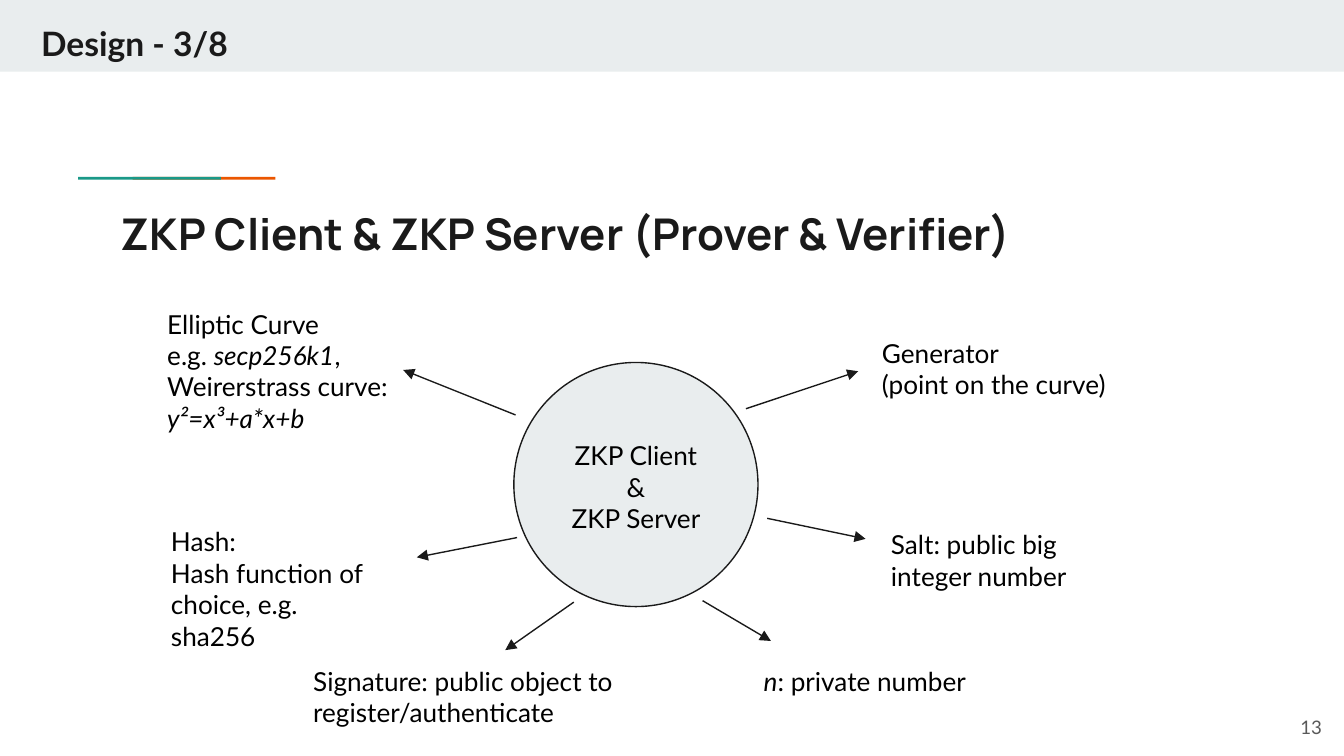
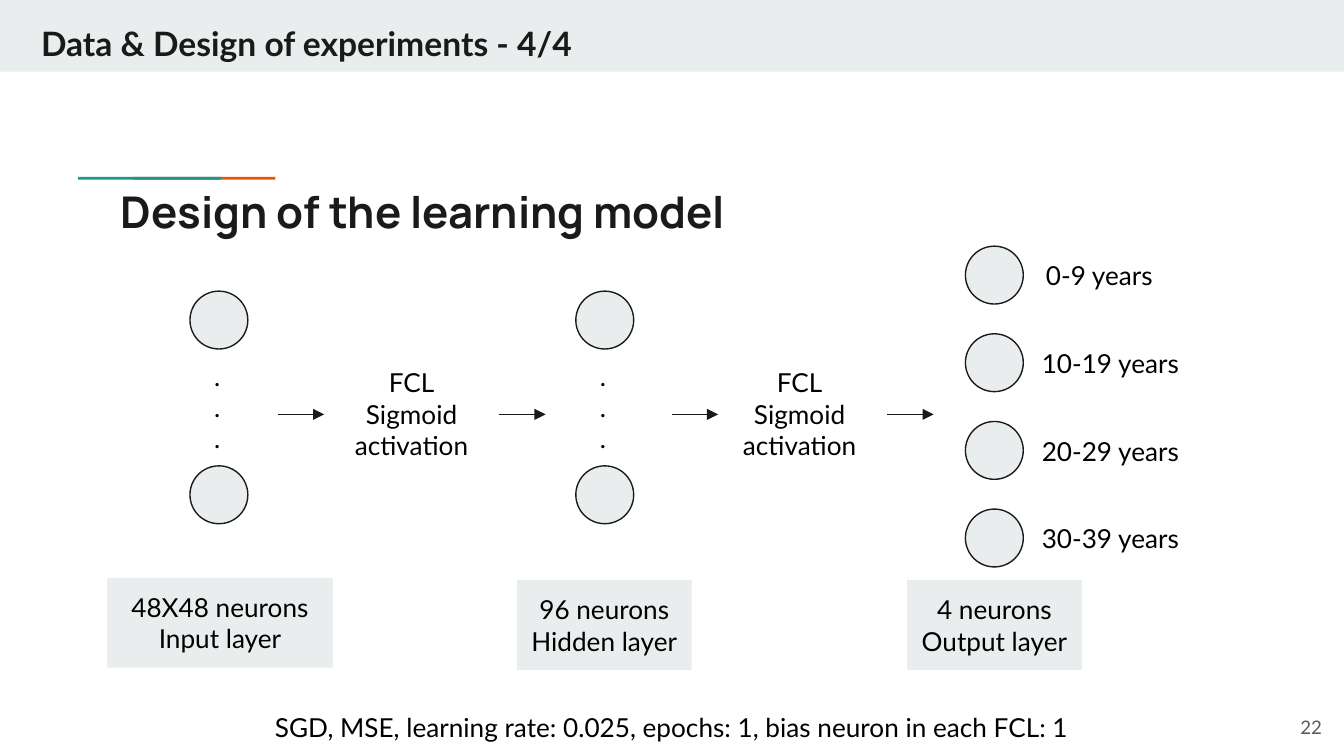
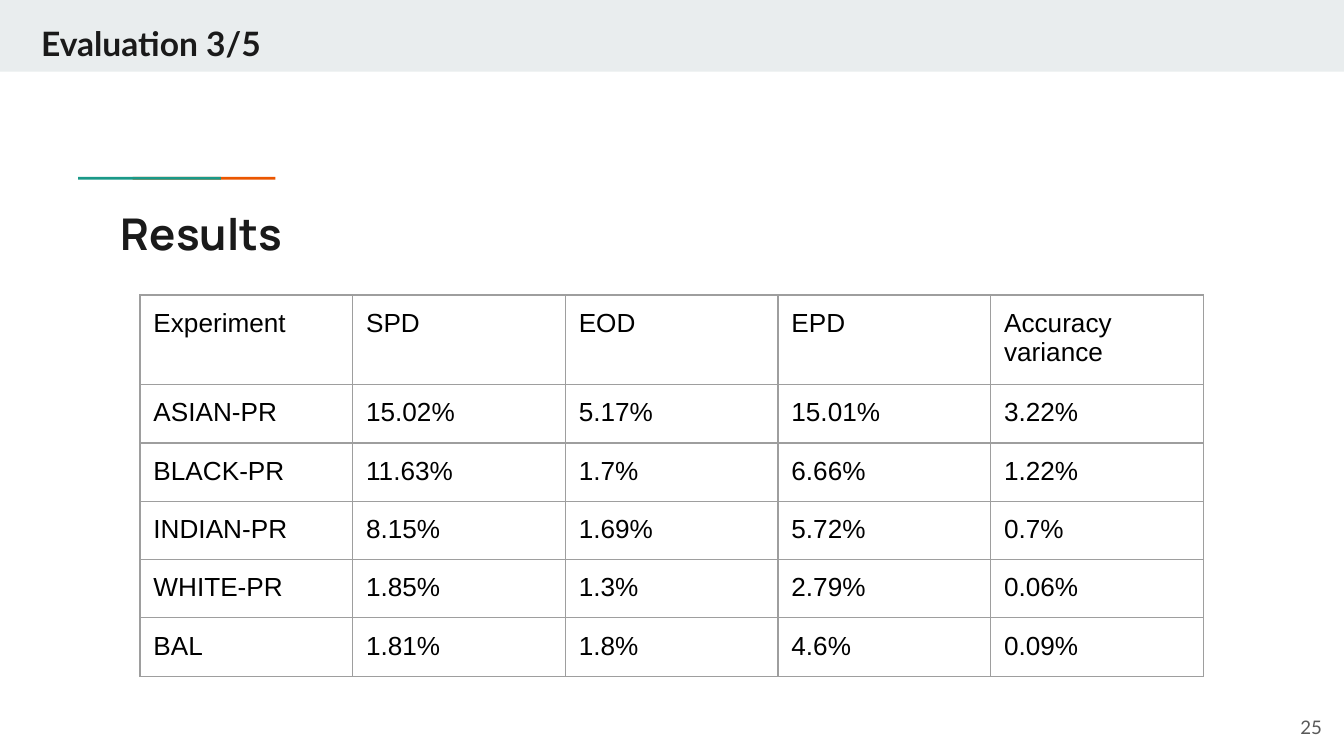
from lxml.etree import SubElement
from pptx import Presentation
from pptx.dml.color import RGBColor
from pptx.enum.shapes import MSO_CONNECTOR, MSO_SHAPE
from pptx.enum.text import MSO_ANCHOR, MSO_AUTO_SIZE, PP_ALIGN
from pptx.oxml.ns import qn
from pptx.util import Pt

INK, BLACK, GREY, PALE = "1A1A1A", "000000", "595959", "E9EDEE"
TEAL, ORANGE, BORDER = "1A9988", "EB5600", "9E9E9E"
INSET = 7.2

# Band heading, title, title top, page number
PAGES = {
    "design": ("Design - 3/8", "ZKP Client & ZKP Server (Prover & Verifier)", 103.6, "13"),
    "model": ("Data & Design of experiments - 4/4", "Design of the learning model", 91.9, "22"),
    "results": ("Evaluation 3/5", "Results", 103.6, "25"),
}
# Overlapping bars of the accent line: left, colour
ACCENTS = [(71.1, ORANGE), (41.8, TEAL)]

# Text, left, top, width, height; "_" switches italics, "\v" breaks a line
PARAMETERS = [
    ("Generator \v(point on the curve)", 465.4, 173.5, 145.4, 48.2),
    ("Elliptic Curve\ve.g. _secp256k1_, Weirerstrass curve:\v_y²=x³+a*x+b_", 82.5, 157.9, 138.2, 82.1),
    ("Salt: public big integer number", 470.2, 276, 138.2, 48.2),
    ("_n_: private number", 402, 349.2, 138.2, 31.7),
    ("Hash:\vHash function of choice, e.g. sha256", 84.5, 274.5, 131, 65.5),
    ("Signature: public object to register/authenticate", 160.7, 349.2, 181.4, 48.2),
]
SPOKES = [
    ((276.2, 222.3), (216, 198.2)),
    ((399.6, 219), (459.8, 198.9)),
    ((411, 277.7), (463.7, 288.7)),
    ((277, 288), (223.3, 298.6)),
    ((307.4, 322.6), (270.7, 348.3)),
    ((376.4, 321.8), (413, 343.4)),
]

NEURON = 31
STACKS = [101.8, 308.5]
AGES = [("0-9 years", 553.2), ("10-19 years", 551), ("20-29 years", 551), ("30-39 years", 551)]
LAYERS = [
    (["48X48 neurons", "Input layer"], 57.4, 309.6, 121),
    (["96 neurons", "Hidden layer"], 277, 310.8, 93.6),
    (["4 neurons", "Output layer"], 486, 310.8, 93.6),
]
# Box left, arrow start before it, arrow end after it
ACTIVATIONS = [(173.7, 149, 292.3), (381.6, 360, 500.2)]
TRAINING = "SGD, MSE, learning rate: 0.025, epochs: 1, bias neuron in each FCL: 1"

RESULTS = [
    ("Experiment", "SPD", "EOD", "EPD", "Accuracy variance"),
    ("ASIAN-PR", "15.02%", "5.17%", "15.01%", "3.22%"),
    ("BLACK-PR", "11.63%", "1.7%", "6.66%", "1.22%"),
    ("INDIAN-PR", "8.15%", "1.69%", "5.72%", "0.7%"),
    ("WHITE-PR", "1.85%", "1.3%", "2.79%", "0.06%"),
    ("BAL", "1.81%", "1.8%", "4.6%", "0.09%"),
]


def rgb(value):
    return RGBColor.from_string(value)


def pts(*values):
    return [Pt(v) for v in values]


def style(font, size, color=BLACK, name="Lato", bold=False):
    font.size, font.name, font.bold = Pt(size), name, bold
    font.color.rgb = rgb(color)


def set_insets(target):
    target.margin_left = target.margin_right = Pt(INSET)
    target.margin_top = target.margin_bottom = Pt(INSET)


def write(sp, lines, size=14, color=BLACK, bold=False, align=PP_ALIGN.LEFT):
    """Fill a shape with one paragraph per line, reading the italic and break marks."""
    tf = sp.text_frame
    tf.word_wrap = True
    tf.auto_size = MSO_AUTO_SIZE.SHAPE_TO_FIT_TEXT
    tf.vertical_anchor = MSO_ANCHOR.TOP
    set_insets(tf)
    for i, line in enumerate(lines):
        p = tf.add_paragraph() if i else tf.paragraphs[0]
        p.alignment = align
        for j, part in enumerate(line.split("_")):
            for k, piece in enumerate(part.split("\v")):
                if k:
                    p.add_line_break()
                if piece:
                    r = p.add_run()
                    r.text = piece
                    style(r.font, size, color, bold=bold)
                    r.font.italic = j % 2 == 1


def add_text(s, lines, x, y, w, h, **look):
    sp = s.shapes.add_textbox(*pts(x, y, w, h))
    write(sp, lines, **look)
    return sp


def add_block(s, kind, x, y, w, h, fill=PALE, line=None):
    sp = s.shapes.add_shape(kind, *pts(x, y, w, h))
    sp.shadow.inherit = False
    sp.fill.solid()
    sp.fill.fore_color.rgb = rgb(fill)
    if line:
        sp.line.color.rgb = rgb(line)
        sp.line.width = Pt(0.75)
    else:
        sp.line.fill.background()
    return sp


def add_circle(s, x, y, size):
    return add_block(s, MSO_SHAPE.OVAL, x, y, size, size, line=INK)


def add_arrow(s, start, end):
    arrow = s.shapes.add_connector(MSO_CONNECTOR.STRAIGHT, *pts(*start, *end))
    arrow.line.color.rgb = rgb(INK)
    arrow.line.width = Pt(0.75)
    SubElement(arrow.line._get_or_add_ln(), qn("a:tailEnd"), type="triangle")
    SubElement(arrow._element.spPr, qn("a:effectLst"))
    return arrow


def add_page(prs, key):
    heading, title, title_top, number = PAGES[key]
    s = prs.slides.add_slide(prs.slide_layouts[5])
    add_block(s, MSO_SHAPE.RECTANGLE, 0, 0, 720, 38.4)
    for x, color in ACCENTS:
        add_block(s, MSO_SHAPE.RECTANGLE, x, 94.8, 76.5, 1.5, color)

    sp = s.shapes.title
    sp.left, sp.top, sp.width, sp.height = pts(57.6, title_top, 605.5, 42.5)
    tf = sp.text_frame
    tf.text = title
    tf.auto_size = MSO_AUTO_SIZE.NONE
    tf.vertical_anchor = MSO_ANCHOR.TOP
    set_insets(tf)
    p = tf.paragraphs[0]
    p.alignment = PP_ALIGN.LEFT
    style(p.runs[0].font, 23.4, INK, "Manrope", True)

    add_text(s, [heading], 14.9, 5, 421.2, 36, size=18, color=INK, bold=True)
    page = add_text(s, [number], 672.1, 374, 43.2, 31, size=10, color=GREY, align=PP_ALIGN.RIGHT)
    page.text_frame.auto_size = MSO_AUTO_SIZE.NONE
    page.text_frame.vertical_anchor = MSO_ANCHOR.MIDDLE
    return s


def build_design(prs):
    s = add_page(prs, "design")
    add_circle(s, 275.3, 194.2, 130.8)
    add_text(s, ["ZKP Client", "&", "ZKP Server"], 287.4, 228.4, 106.6, 65.5, align=PP_ALIGN.CENTER)
    for start, end in SPOKES:
        add_arrow(s, start, end)
    for text, *box in PARAMETERS:
        add_text(s, [text], *box)


def build_model(prs):
    s = add_page(prs, "model")
    for x in STACKS:
        for y in (156, 249.6):
            add_circle(s, x, y, NEURON)
        add_text(s, ["."] * 3, x + 5.8, 185.6, 19.4, 65.5)
    for i, (age, x) in enumerate(AGES):
        y = 131.9 + 46.95 * i
        add_circle(s, 517.2, y, NEURON)
        add_text(s, [age], x, y, 104, 31.7)
    for lines, x, y, w in LAYERS:
        write(add_block(s, MSO_SHAPE.RECTANGLE, x, y, w, 48.2), lines, align=PP_ALIGN.CENTER)

    axis, length, w, h = 222, 24.7, 93.6, 65.4
    for x, arrow_in, arrow_out in ACTIVATIONS:
        box = add_text(s, ["FCL", "Sigmoid activation"], x, axis - h / 2, w, h, align=PP_ALIGN.CENTER)
        add_arrow(s, (arrow_in, axis), (arrow_in + length, axis))
        add_arrow(s, (x + w, axis), (arrow_out, axis)).begin_connect(box, 3)
    add_text(s, [TRAINING], 0, 373.7, 720, 31.7, align=PP_ALIGN.CENTER)


def set_borders(cell):
    tcPr = cell._tc.get_or_add_tcPr()
    for side in ("a:lnL", "a:lnR", "a:lnT", "a:lnB"):
        ln = SubElement(tcPr, qn(side), w=str(Pt(0.75)))
        SubElement(SubElement(ln, qn("a:solidFill")), qn("a:srgbClr"), val=BORDER)


def build_results(prs):
    s = add_page(prs, "results")
    rows, cols = len(RESULTS), len(RESULTS[0])
    col_w, header_h, row_h = 113.95, 45.8, 30.15
    box = pts(75, 158, col_w * cols, header_h + row_h * (rows - 1))
    table = s.shapes.add_table(rows, cols, *box).table
    table.first_row = table.horz_banding = False
    for i, values in enumerate(RESULTS):
        table.rows[i].height = Pt(row_h if i else header_h)
        for j, value in enumerate(values):
            cell = table.cell(i, j)
            cell.text_frame.text = value
            style(cell.text_frame.paragraphs[0].runs[0].font, 14, name="Arial")
            set_insets(cell)
            set_borders(cell)
            cell.fill.background()


def main():
    prs = Presentation()
    prs.slide_width, prs.slide_height = pts(720, 405)
    build_design(prs)
    build_model(prs)
    build_results(prs)
    prs.save("out.pptx")


if __name__ == "__main__":
    main()
